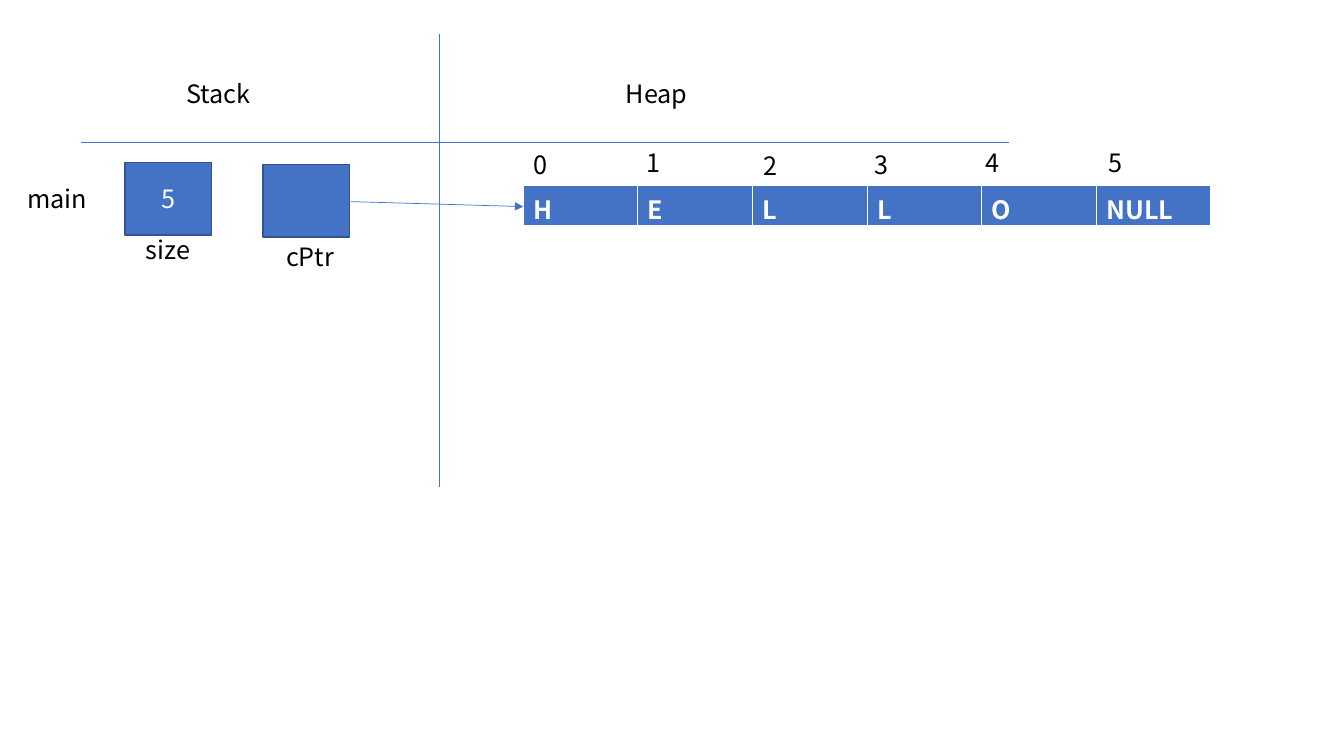
from lxml.etree import SubElement
from pptx import Presentation
from pptx.dml.color import RGBColor
from pptx.enum.shapes import MSO_CONNECTOR, MSO_SHAPE
from pptx.enum.text import MSO_ANCHOR, MSO_AUTO_SIZE, PP_ALIGN
from pptx.oxml.ns import qn
from pptx.util import Inches, Pt

BLUE = RGBColor(0x44, 0x72, 0xC4)
DARK_BLUE = RGBColor(0x32, 0x54, 0x91)
WHITE = RGBColor(0xFF, 0xFF, 0xFF)
BLACK = RGBColor(0x00, 0x00, 0x00)
FONT = "Noto Sans CJK KR"
LABEL_W, LABEL_H = 0.86, 0.4
VAR_W, VAR_H = 0.86, 0.72


def write(tf, text, color=BLACK, bold=False, align=PP_ALIGN.LEFT):
    p = tf.paragraphs[0]
    p.alignment = align
    r = p.add_run()
    r.text = text
    r.font.name = FONT
    r.font.size = Pt(18)
    r.font.bold = bold
    r.font.color.rgb = color


def add_label(slide, text, x, y, w=LABEL_W):
    sp = slide.shapes.add_textbox(Inches(x), Inches(y), Inches(w), Inches(LABEL_H))
    tf = sp.text_frame
    tf.word_wrap = True
    tf.auto_size = MSO_AUTO_SIZE.SHAPE_TO_FIT_TEXT
    write(tf, text)


def add_line(slide, x1, y1, x2, y2, arrow=False):
    line = slide.shapes.add_connector(
        MSO_CONNECTOR.STRAIGHT, Inches(x1), Inches(y1), Inches(x2), Inches(y2))
    line.line.color.rgb = BLUE
    line.line.width = Pt(0.5)
    if arrow:
        SubElement(line.line._get_or_add_ln(), qn("a:tailEnd"), type="triangle")
    SubElement(line._element.spPr, qn("a:effectLst"))


def add_variable(slide, name, value, x, y, name_dx, name_dy):
    sp = slide.shapes.add_shape(
        MSO_SHAPE.RECTANGLE, Inches(x), Inches(y), Inches(VAR_W), Inches(VAR_H))
    sp.shadow.inherit = False
    sp.fill.solid()
    sp.fill.fore_color.rgb = BLUE
    sp.line.color.rgb = DARK_BLUE
    sp.line.width = Pt(1)
    sp.text_frame.vertical_anchor = MSO_ANCHOR.MIDDLE
    if value:
        write(sp.text_frame, value, color=WHITE, align=PP_ALIGN.CENTER)
    add_label(slide, name, x + name_dx, y + name_dy)


def set_borders(cell):
    tcPr = cell._tc.get_or_add_tcPr()
    # Borders come before the fill in a cell's properties
    for i, (side, width) in enumerate((("L", 1), ("R", 1), ("T", 1), ("B", 3))):
        ln = SubElement(tcPr, qn(f"a:ln{side}"), w=str(Pt(width)))
        fill = SubElement(ln, qn("a:solidFill"))
        SubElement(fill, qn("a:srgbClr"), val=str(WHITE))
        tcPr.insert(i, ln)


def build_axes(slide, x, y, w, h):
    # Rules separating the headings and the two memory areas
    add_line(slide, x, y + 1.07, x + w, y + 1.07)
    add_line(slide, x + 3.56, y, x + 3.56, y + h)
    for heading, dx in (("Stack", 0.95), ("Heap", 5.31)):
        add_label(slide, heading, x + dx, y + 0.39)


def build_stack_frame(slide, x, y):
    # Variables of the function on the stack
    add_label(slide, "main", x, y + 0.16)
    add_variable(slide, "size", "5", x + 1.07, y, 0.11, 0.67)
    add_variable(slide, "cPtr", "", x + 2.44, y + 0.02, 0.13, 0.71)


def build_heap_array(slide, x, y, w, h):
    # Character array on the heap
    chars = ["H", "E", "L", "L", "O", "NULL"]
    table = slide.shapes.add_table(
        1, len(chars), Inches(x), Inches(y), Inches(w), Inches(h)).table
    table.rows[0].height = Inches(h)
    for cell, char in zip(table.rows[0].cells, chars):
        cell.fill.solid()
        cell.fill.fore_color.rgb = BLUE
        set_borders(cell)
        write(cell.text_frame, char, color=WHITE, bold=True)
    # Indices above the cells, placed by hand
    offsets = [(0, 0.41), (1.12, 0.43), (2.28, 0.4),
               (3.39, 0.41), (4.49, 0.43), (5.71, 0.43)]
    for i, (dx, rise) in enumerate(offsets):
        add_label(slide, str(i), x + dx, y - rise, w=0.47)


def main():
    prs = Presentation()
    prs.slide_width, prs.slide_height = Inches(13.33), Inches(7.5)
    slide = prs.slides.add_slide(prs.slide_layouts[6])
    build_axes(slide, 0.8, 0.34, 9.21, 4.49)
    build_stack_frame(slide, 0.17, 1.61)
    # Pointer from the stack to the heap
    add_line(slide, 3.48, 2, 5.19, 2.05, arrow=True)
    build_heap_array(slide, 5.19, 1.84, 6.82, 0.41)
    prs.save("out.pptx")


if __name__ == "__main__":
    main()
